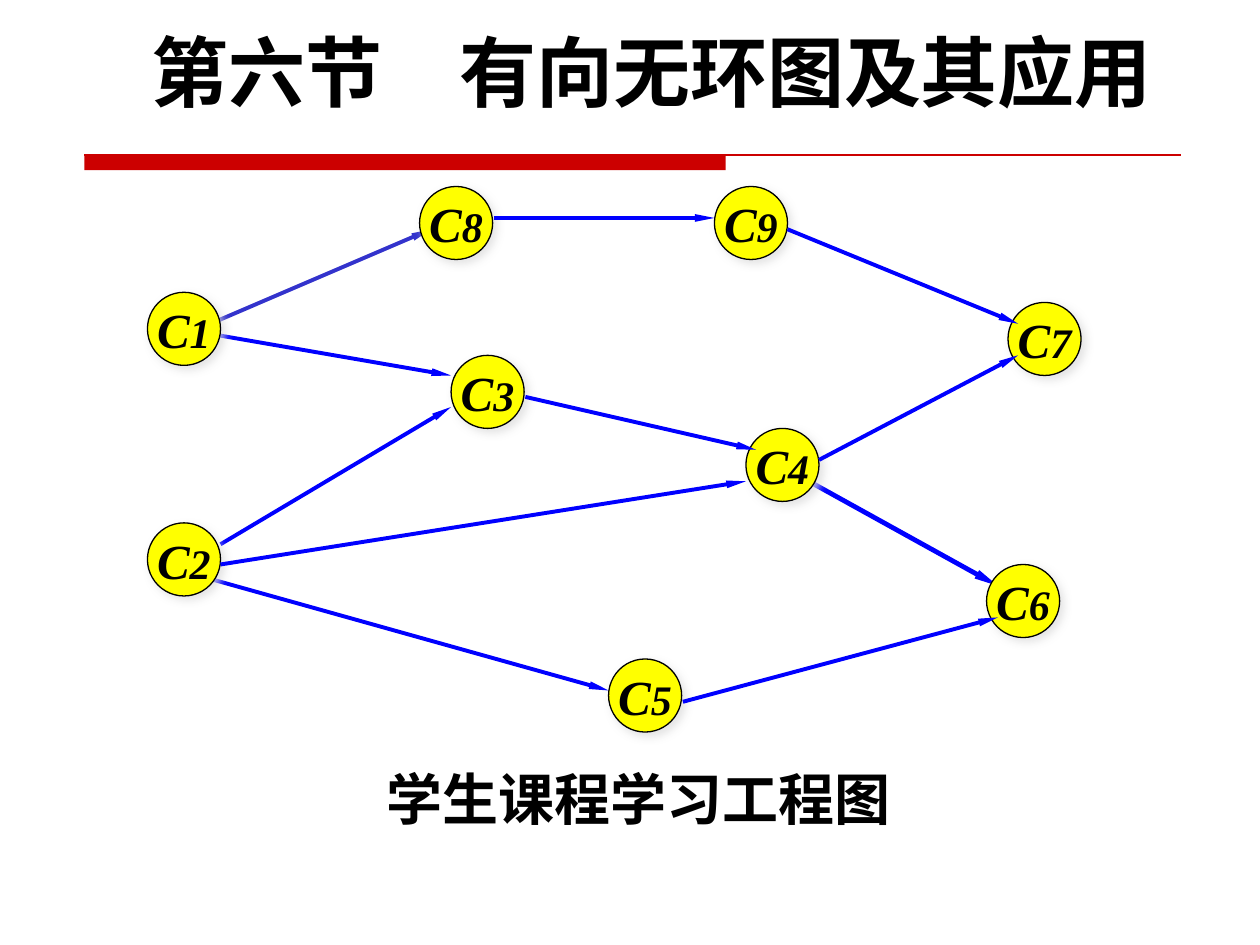
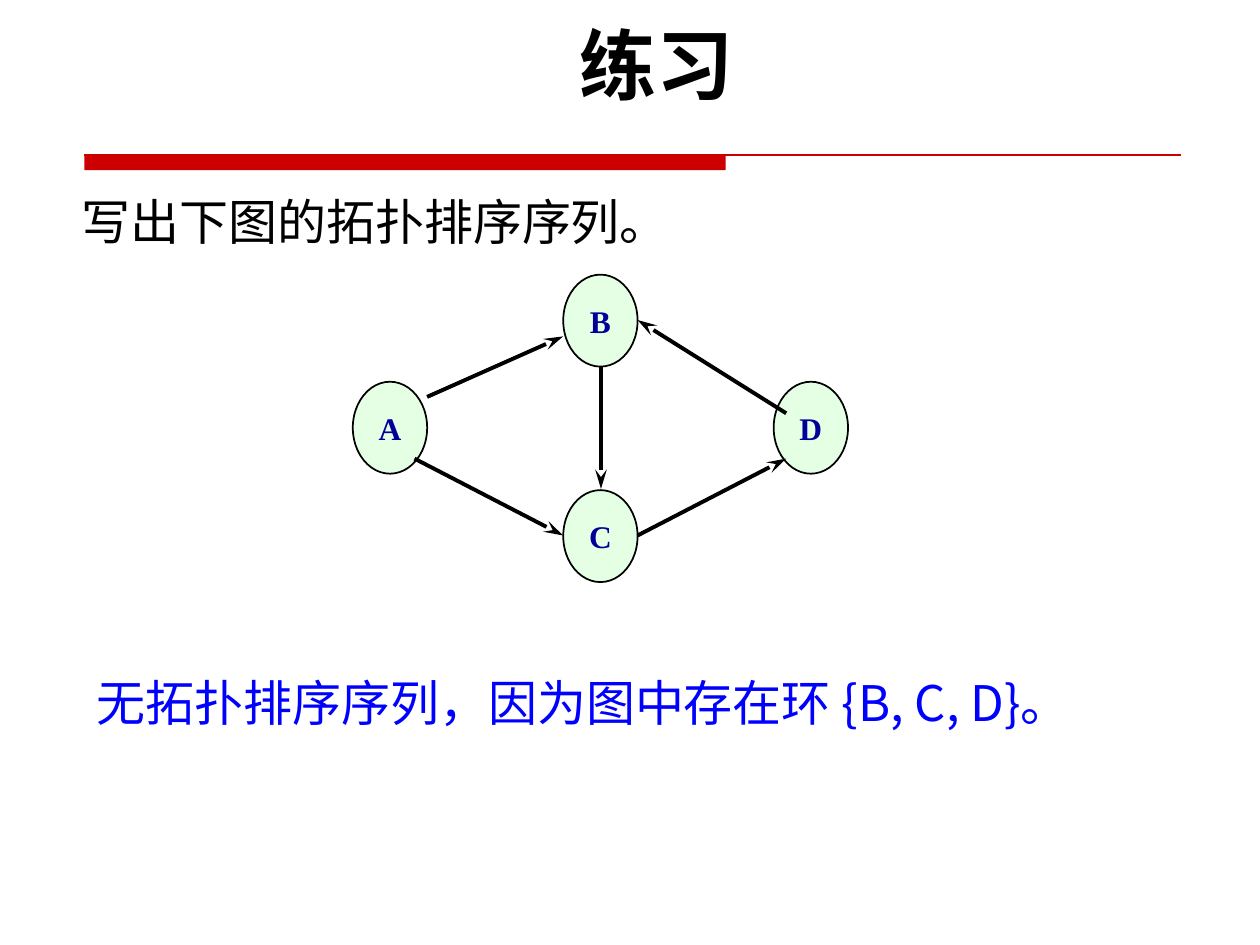
from dataclasses import dataclass
from lxml import etree
from pptx import Presentation
from pptx.dml.color import RGBColor
from pptx.enum.shapes import MSO_CONNECTOR as CONN, MSO_SHAPE as SHAPE
from pptx.enum.text import MSO_ANCHOR as ANCHOR, MSO_AUTO_SIZE as AUTO, PP_ALIGN as ALIGN
from pptx.oxml.ns import qn
from pptx.util import Inches, Pt


@dataclass(frozen=True)
class Theme:
    black: str = "000000"
    band: str = "CC0000"
    edge: str = "0000FF"
    first_edge: str = "3333CC"
    course: str = "FFFF00"
    shadow: str = "DDDDDD"
    vertex: str = "CCFFCC"
    vertex_text: str = "000099"
    title_font: str = "Cabin"
    body_font: str = "Noto Sans CJK SC"
    node_font: str = "Times New Roman"
    title_pt: int = 44
    caption_pt: int = 32
    body_pt: int = 28
    letter_pt: int = 28
    digit_pt: int = 24
    vertex_pt: int = 18


T = Theme()


def add_run(p, text, font, size, color, bold=False, italic=False):
    r = p.add_run()
    r.text = text
    r.font.name, r.font.size = font, Pt(size)
    r.font.bold, r.font.italic = bold, italic
    r.font.color.rgb = RGBColor.from_string(color)
    ea = etree.SubElement(r._r.get_or_add_rPr(), qn("a:ea"))
    ea.set("typeface", T.body_font if font == T.title_font else font)


def add_line(shapes, ends, color, width, head=None):
    """Draw a line; head is (type, width, length) of the arrowhead at its end."""
    c = shapes.add_connector(CONN.STRAIGHT, *[Inches(v) for v in ends])
    c.line.color.rgb = RGBColor.from_string(color)
    c.line.width = Pt(width)
    if head:
        tail = etree.SubElement(c.line._get_or_add_ln(), qn("a:tailEnd"))
        for key, value in zip(("type", "w", "len"), head):
            tail.set(key, value)
    etree.SubElement(c._element.spPr, qn("a:effectLst"))


prs = Presentation()
prs.slide_width, prs.slide_height = Inches(10), Inches(7.5)

# Shared frame: title and red band
titles = [("第六节\u3000有向无环图及其应用".replace("\u3000", "　"), (0.55, 0.23, 9.25, 0.77)),
          ("练习", (0.67, 0.17, 9.08, 0.83))]
slides = []
for title, box in titles:
    s = prs.slides.add_slide(prs.slide_layouts[6])
    slides.append(s)
    sp = s.shapes.add_shape(SHAPE.RECTANGLE, Inches(0.67), Inches(1.23), Inches(5.09), Inches(0.12))
    sp.shadow.inherit = False
    sp.fill.solid()
    sp.fill.fore_color.rgb = RGBColor.from_string(T.band)
    sp.line.fill.background()
    add_line(s.shapes, (0.67, 1.23, 9.37, 1.23), T.band, 0.75)
    tf = s.shapes.add_textbox(*[Inches(v) for v in box]).text_frame
    tf.word_wrap = True
    p = tf.paragraphs[0]
    p.alignment, p.line_spacing = ALIGN.CENTER, 0.9
    add_run(p, title, T.title_font, T.title_pt, T.black, bold=True)
course_slide, exercise_slide = slides

# Course graph: some edges lie behind the nodes, the others in front
course_head = ("triangle", "sm", "lg")
back_edges = [
    ((6.42, 3.82, 7.92, 4.65), T.edge, 2.75),
    ((1.58, 4.57, 4.83, 5.48), T.edge, 2.25),
    ((1.75, 4.32, 3.58, 3.23), T.edge, 2.25),
    ((1.67, 2.65, 3.58, 2.98), T.edge, 2.25),
    ((1.67, 2.57, 3.42, 1.82), T.first_edge, 2.25),
]
front_edges = [
    (3.92, 1.73, 5.67, 1.73), (4.17, 3.15, 6, 3.57), (1.75, 4.48, 5.92, 3.82),
    (6.25, 1.82, 8.08, 2.57), (6.5, 3.65, 8.08, 2.82), (5.42, 5.57, 7.92, 4.9),
]
courses = {"8": (3.33, 1.48), "3": (3.58, 2.82), "5": (4.83, 5.23),
           "4": (5.92, 3.4), "9": (5.67, 1.48), "6": (7.83, 4.48),
           "7": (8, 2.4), "1": (1.17, 2.32), "2": (1.17, 4.15)}

graph = course_slide.shapes.add_group_shape().shapes
for ends, color, width in back_edges:
    add_line(graph, ends, color, width, course_head)
for number, (x, y) in courses.items():
    sp = graph.add_shape(SHAPE.OVAL, Inches(x), Inches(y), Inches(0.58), Inches(0.58))
    sp.fill.solid()
    sp.fill.fore_color.rgb = RGBColor.from_string(T.course)
    sp.line.color.rgb = RGBColor.from_string(T.black)
    sp.line.width = Pt(0.75)
    sp.shadow.inherit = False
    effects = sp._element.spPr.find(qn("a:effectLst"))
    shadow = etree.SubElement(effects, qn("a:outerShdw"), blurRad=str(Pt(5)),
                              dist=str(Pt(3)), dir=str(45 * 60000))
    clr = etree.SubElement(shadow, qn("a:srgbClr"), val=T.shadow)
    etree.SubElement(clr, qn("a:alpha"), val="75000")
    tf = sp.text_frame
    tf.word_wrap, tf.vertical_anchor = False, ANCHOR.MIDDLE
    p = tf.paragraphs[0]
    p.alignment = ALIGN.CENTER
    for text, size in (("C", T.letter_pt), (number, T.digit_pt)):
        add_run(p, text, T.node_font, size, T.black, bold=True, italic=True)
for ends in front_edges:
    add_line(graph, ends, T.edge, 2.25, course_head)

# Exercise graph: a diamond of four vertices
vertices = {"B": (4.47, 2.18), "D": (6.14, 3.03), "A": (2.8, 3.03), "C": (4.47, 3.89)}
arrows = [(3.39, 3.15, 4.47, 2.67), (3.29, 3.64, 4.47, 4.25), (5.06, 4.25, 6.24, 3.64),
          (6.24, 3.28, 5.06, 2.54), (4.77, 2.91, 4.77, 3.88)]

graph = exercise_slide.shapes.add_group_shape().shapes
for name, (x, y) in vertices.items():
    sp = graph.add_shape(SHAPE.OVAL, Inches(x), Inches(y), Inches(0.59), Inches(0.73))
    sp.shadow.inherit = False
    sp.fill.solid()
    sp.fill.fore_color.rgb = RGBColor.from_string(T.vertex)
    clr = sp._element.spPr.find(qn("a:solidFill")).find(qn("a:srgbClr"))
    etree.SubElement(clr, qn("a:alpha"), val="50000")
    sp.line.color.rgb = RGBColor.from_string(T.black)
    sp.line.width = Pt(1)
    tf = sp.text_frame
    tf.word_wrap, tf.vertical_anchor = False, ANCHOR.MIDDLE
    p = tf.paragraphs[0]
    p.alignment = ALIGN.CENTER
    add_run(p, name, T.node_font, T.vertex_pt, T.vertex_text, bold=True)
for ends in arrows:
    add_line(graph, ends, T.black, 2.25, ("stealth", "med", "lg"))

# Caption, answer and question
caption = course_slide.shapes.add_textbox(Inches(2.97), Inches(6.02), Inches(4.26), Inches(0.64))
tf = caption.text_frame
tf.word_wrap, tf.auto_size = False, AUTO.SHAPE_TO_FIT_TEXT
add_run(tf.paragraphs[0], "学生课程学习工程图", T.body_font, T.caption_pt, T.black, bold=True)

answer = exercise_slide.shapes.add_textbox(Inches(0.67), Inches(5.29), Inches(8.9), Inches(0.57))
tf = answer.text_frame
tf.word_wrap, tf.auto_size = True, AUTO.SHAPE_TO_FIT_TEXT
add_run(tf.paragraphs[0], "无拓扑排序序列，因为图中存在环 {B, C, D}。", T.body_font, T.body_pt, T.edge)

question = exercise_slide.shapes.add_textbox(Inches(0.55), Inches(1.41), Inches(8.98), Inches(0.63))
tf = question.text_frame
tf.word_wrap, tf.vertical_anchor = True, ANCHOR.BOTTOM
p = tf.paragraphs[0]
p.line_spacing = 1.5
add_run(p, "写出下图的拓扑排序序列。", T.body_font, T.body_pt, T.black)

prs.save("out.pptx")
